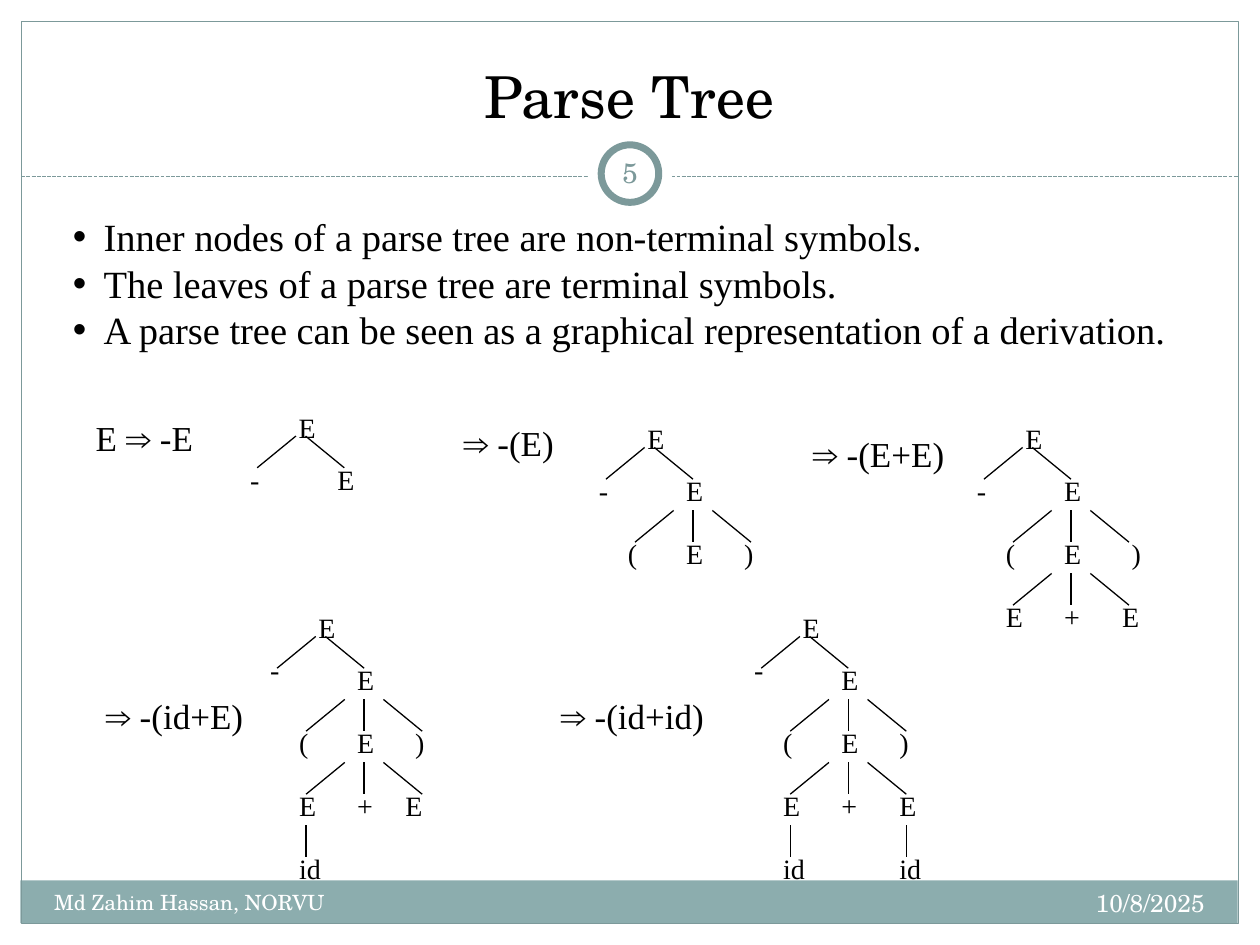
"""Build the parse tree slide that shows one tree per derivation step."""
from dataclasses import dataclass

from lxml.etree import SubElement
from pptx import Presentation
from pptx.dml.color import RGBColor
from pptx.enum.dml import MSO_LINE
from pptx.enum.shapes import MSO_CONNECTOR, MSO_SHAPE
from pptx.enum.text import MSO_ANCHOR, PP_ALIGN
from pptx.oxml.ns import qn
from pptx.util import Cm, Pt


@dataclass(frozen=True)
class Theme:
    ink: RGBColor = RGBColor(0, 0, 0)
    paper: RGBColor = RGBColor(255, 255, 255)
    frame: RGBColor = RGBColor(0x7C, 0x99, 0x9A)
    bar: RGBColor = RGBColor(0x8C, 0xAD, 0xAE)
    display: str = "TeX Gyre Schola"
    body: str = "Times New Roman"
    title: int = 33
    bullet: int = 22
    formula: int = 20
    number: int = 16
    node: int = 16
    date: int = 14
    footer: int = 12


def add_text(shapes, box, lines, font, size, color, align=PP_ALIGN.LEFT,
             anchor=MSO_ANCHOR.TOP, wrap=True):
    tf = shapes.add_textbox(*map(Cm, box)).text_frame
    tf.word_wrap = wrap
    tf.vertical_anchor = anchor
    for i, line in enumerate(lines):
        p = tf.add_paragraph() if i else tf.paragraphs[0]
        p.alignment = align
        r = p.add_run()
        r.text = line
        r.font.name, r.font.size = font, Pt(size)
        r.font.color.rgb = color
    return tf


def add_line(shapes, x1, y1, x2, y2, color):
    line = shapes.add_connector(MSO_CONNECTOR.STRAIGHT, *map(Cm, (x1, y1, x2, y2)))
    line.line.color.rgb = color
    line.line.width = Pt(0.75)
    SubElement(line._element.spPr, qn("a:effectLst"))
    return line


theme = Theme()
prs = Presentation()
prs.slide_width, prs.slide_height = Cm(25.4), Cm(19.05)
s = prs.slides.add_slide(prs.slide_layouts[6])

decorations = [
    (MSO_SHAPE.RECTANGLE, (0.41, 17.75, 24.54, 0.86), theme.bar, 0),
    (MSO_SHAPE.RECTANGLE, (0.43, 0.43, 24.54, 18.19), None, 0.75),
    (MSO_SHAPE.OVAL, (11.85, 2.67, 1.7, 1.7), theme.paper, 0),
    (MSO_SHAPE.OVAL, (12.12, 2.92, 1.16, 1.16), theme.paper, 4),
]
divider = add_line(s.shapes, 0.43, 3.56, 24.97, 3.56, theme.frame)
divider.line.dash_style = MSO_LINE.SQUARE_DOT
for kind, box, fill, width in decorations:
    sp = s.shapes.add_shape(kind, *map(Cm, box))
    sp.shadow.inherit = False
    if fill is None:
        sp.fill.background()
    else:
        sp.fill.solid()
        sp.fill.fore_color.rgb = fill
    if width:
        sp.line.color.rgb = theme.frame
        sp.line.width = Pt(width)
    else:
        sp.line.fill.background()

add_text(s.shapes, (0.84, 0.64, 23.7, 2.11), ["Parse Tree"], theme.display,
         theme.title, theme.ink, PP_ALIGN.CENTER, MSO_ANCHOR.BOTTOM)
add_text(s.shapes, (16.08, 17.78, 8.46, 1.02), ["10/8/2025"], theme.display,
         theme.date, theme.paper, PP_ALIGN.RIGHT)
add_text(s.shapes, (0.84, 17.81, 9.96, 1.02), ["Md Zahim Hassan, NORVU"],
         theme.display, theme.footer, theme.paper)
tf = add_text(s.shapes, (12.07, 2.87, 1.27, 1.22), ["5"], theme.display,
              theme.number, theme.frame, PP_ALIGN.CENTER, MSO_ANCHOR.MIDDLE)
tf.margin_left = tf.margin_right = tf.margin_top = tf.margin_bottom = Cm(0.13)

tf = add_text(s.shapes, (1.22, 4.17, 23.2, 3.07), [
    "Inner nodes of a parse tree are non-terminal symbols.",
    "The leaves of a parse tree are terminal symbols.",
    "A parse tree can be seen as a graphical representation of a derivation.",
], theme.body, theme.bullet, theme.ink)
for p in tf.paragraphs:
    p.line_spacing = Pt(26.6)
    pPr = p._p.get_or_add_pPr()
    pPr.set("marL", str(Cm(0.62)))
    pPr.set("indent", str(-Cm(0.62)))
    SubElement(pPr, qn("a:buFont"), typeface="Arial")
    SubElement(pPr, qn("a:buChar"), char="•")

formulas = [
    ("E ⇒ -E", 1.68, 8.28, 2.87),
    ("⇒ -(E)", 9.09, 8.38, 2.54),
    ("⇒ -(E+E)", 16.13, 8.59, 3.38),
    ("⇒ -(id+E)", 1.88, 13.87, 3.51),
    ("⇒ -(id+id)", 11.05, 13.87, 3.61),
]
for formula, x, y, width in formulas:
    add_text(s.shapes, (x, y, width, 1.12), [formula], theme.body,
             theme.formula, theme.ink, wrap=False)

UNIT, ROW, DROP = 0.39, 1.27, 0.64
WIDTHS = {"E": 0.86, "+": 0.84, "id": 0.97}
root = [("E", 0, 0), ("E", 2, 1.04)]
parens = [("(", -1, 2.31), ("E", 2, 2.31)]
total = [("E", -1, 3.58), ("+", 2, 3.58)]
left_id, right_id = ("id", -1, 4.85), ("id", 5, 4.85)
trees = [
    (5.77, 8.15, 1, [], root + [("-", -2.5, 1.04)]),
    (12.8, 8.38, 2, [], root + parens + [("-", -2.5, 1.04), (")", 5, 2.31)]),
    (20.42, 8.38, 3, [], root + parens + total
     + [("-", -2.5, 1.04), (")", 5.5, 2.31), ("E", 5, 3.58)]),
    (6.17, 12.19, 3, [0], root + parens + total
     + [("-", -2.5, 0.84), (")", 5, 2.31), ("E", 4.5, 3.58), left_id]),
    (15.93, 12.19, 3, [0, 6], root + parens + total
     + [("-", -2.5, 0.84), (")", 5, 2.31), ("E", 5, 3.58), left_id, right_id]),
]
for x, y, depth, id_columns, nodes in trees:
    tree = s.shapes.add_group_shape().shapes
    edges = [(0.5, -1.5, 0), (1, 3, 0)]
    for level in range(1, depth):
        edges += [(2, 0, level), (3, 3, level), (4, 6, level)]
    edges += [(column, column, 3) for column in id_columns]
    for start, end, level in edges:
        top = y + DROP + level * ROW
        add_line(tree, x + start * UNIT, top, x + end * UNIT, top + DROP, theme.ink)
    for label, column, offset in nodes:
        add_text(tree, (x + column * UNIT, y + offset, WIDTHS.get(label, 0.71), 0.94),
                 [label], theme.body, theme.node, theme.ink, wrap=False)

prs.save("out.pptx")
